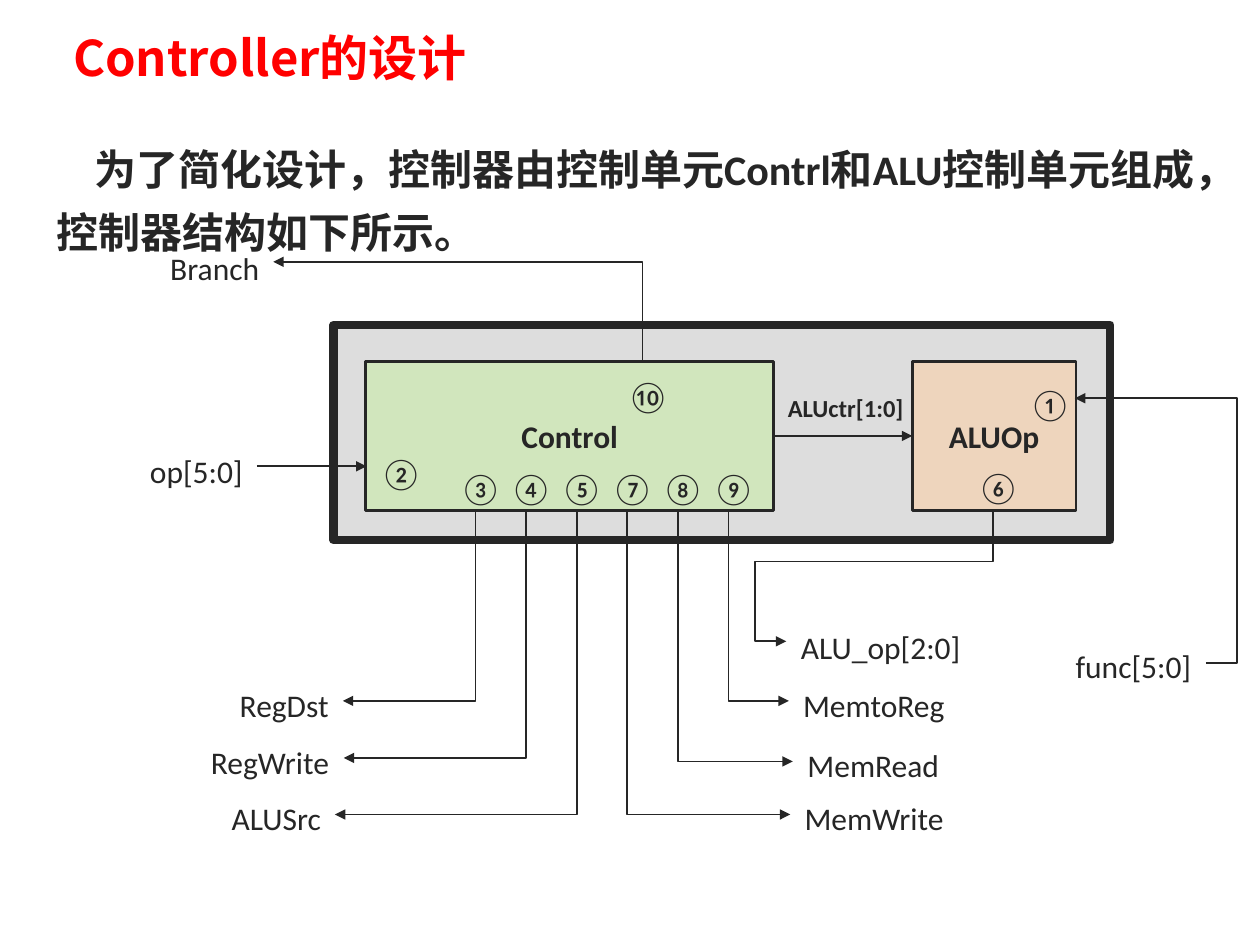
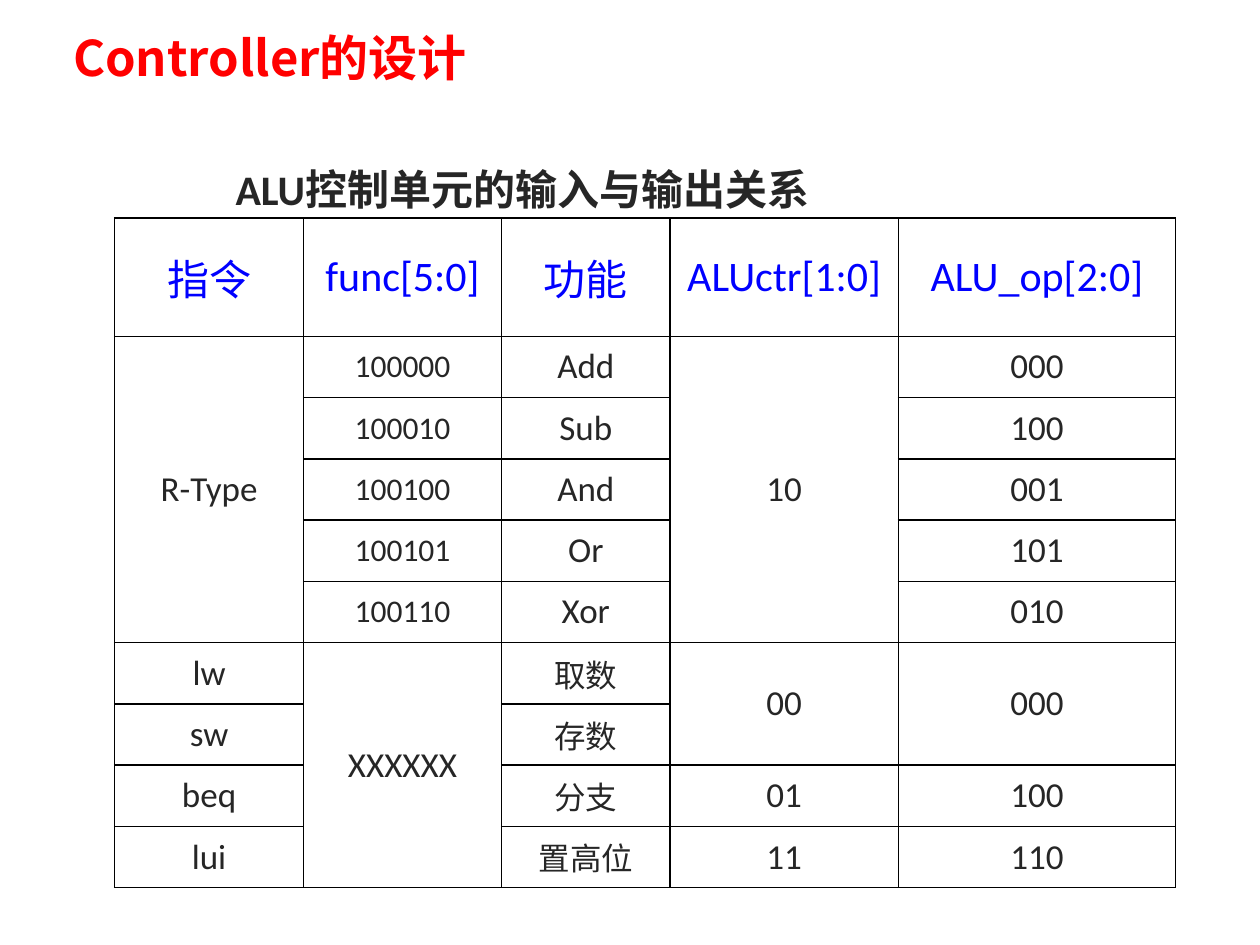
from lxml.etree import SubElement
from pptx import Presentation
from pptx.dml.color import RGBColor
from pptx.enum.shapes import MSO_CONNECTOR, MSO_SHAPE
from pptx.enum.text import MSO_ANCHOR, MSO_AUTO_SIZE, PP_ALIGN
from pptx.oxml.ns import qn
from pptx.util import Cm, Pt

INK = RGBColor(0x26, 0x26, 0x26)
RED = RGBColor(0xFF, 0x00, 0x00)
BLUE = RGBColor(0x00, 0x00, 0xFF)
GREY = RGBColor(0xBD, 0xBD, 0xBD)
GREEN = RGBColor(0xCA, 0xEE, 0xA6)
ORANGE = RGBColor(0xFB, 0xD0, 0xA5)
LATIN, CJK = "Calibri", "Noto Sans CJK JP"
TITLE = "Controller的设计"
LABEL_H, WIRE_DROP, DIGIT_W = 1.24, 0.62, 1.19

PINS = [
    ("③", "RegDst", 1.81, 8.81, 2.36),
    ("④", "RegWrite", 1.22, 9.96, 2.97),
    ("⑤", "ALUSrc", 1.65, 11.1, 2.36),
    ("⑦", "MemWrite", 13.19, 11.1, 3.38),
    ("⑧", "MemRead", 13.24, 10.03, 3.25),
    ("⑨", "MemtoReg", 13.16, 8.81, 3.43),
]
LABELS = [
    ("Branch", 0.41, 0, 2.36),
    ("ALU_op[2:0]", 13.11, 7.64, 3.81),
    ("func[5:0]", 18.65, 8.03, 2.92),
    ("op[5:0]", 0, 4.09, 2.44),
    ("①", 17.73, 2.74, DIGIT_W),
    ("⑩", 9.63, 2.59, DIGIT_W),
    ("②", 4.65, 4.14, DIGIT_W),
    ("⑥", 16.69, 4.42, DIGIT_W),
]
COLUMNS = [3.81, 3.99, 3.4, 4.6, 5.59]
ROWS = [
    ["指令", "func[5:0]", "功能", "ALUctr[1:0]", "ALU_op[2:0]"],
    ["R-Type", "100000", "Add", "10", "000"],
    [None, "100010", "Sub", None, "100"],
    [None, "100100", "And", None, "001"],
    [None, "100101", "Or", None, "101"],
    [None, "100110", "Xor", None, "010"],
    ["lw", "XXXXXX", "取数", "00", "000"],
    ["sw", None, "存数", None, None],
    ["beq", None, "分支", "01", "100"],
    ["lui", None, "置高位", "11", "110"],
]


def assign(obj, **values):
    """Set several attributes of one object."""
    for name, value in values.items():
        setattr(obj, name, value)


def write(tf, text, size, color=INK, bold=False, latin=LATIN, **para):
    """Write one formatted paragraph into a text frame."""
    p = tf.paragraphs[0]
    assign(p, **para)
    r = p.add_run()
    r.text = text
    assign(r.font, size=Pt(size), bold=bold, name=latin)
    r.font.color.rgb = color
    SubElement(r.font._element, qn("a:ea"), typeface=CJK)
    return p


def add_title(s, text):
    """Place the red slide title in its placeholder."""
    sp = s.shapes.title
    assign(sp, left=Cm(1.22), top=Cm(0.2), width=Cm(23.34), height=Cm(1.9))
    sp.text_frame.vertical_anchor = MSO_ANCHOR.MIDDLE
    write(sp.text_frame, text, 28, RED, True, CJK, alignment=PP_ALIGN.LEFT)


def add_text(s, text, x, y, w, h, size, bold=False, wrap=False, align=PP_ALIGN.CENTER):
    """Add a text box that fits its text."""
    tf = s.shapes.add_textbox(Cm(x), Cm(y), Cm(w), Cm(h)).text_frame
    assign(tf, word_wrap=wrap, auto_size=MSO_AUTO_SIZE.SHAPE_TO_FIT_TEXT,
           margin_left=Cm(0.28), margin_right=Cm(0.28))
    return write(tf, text, size, bold=bold, alignment=align, line_spacing=1.25)


def add_paragraph(s, text, x, y, w, h):
    """Add a bold paragraph with an indented first line."""
    p = add_text(s, text, x, y, w, h, 24, True, True, PP_ALIGN.LEFT)
    p._p.get_or_add_pPr().set("indent", str(Cm(0.76)))


def add_block(s, text, x, y, w, h, color, opacity, weight):
    """Add a translucent outlined rectangle with a bold name."""
    sp = s.shapes.add_shape(MSO_SHAPE.RECTANGLE, Cm(x), Cm(y), Cm(w), Cm(h))
    sp.shadow.inherit = False
    sp.fill.solid()
    sp.fill.fore_color.rgb = color
    clr = sp._element.spPr.find(".//" + qn("a:srgbClr"))
    SubElement(clr, qn("a:alpha"), val=str(opacity * 1000))
    sp.line.color.rgb = INK
    sp.line.width = Pt(weight)
    if text:
        tf = sp.text_frame
        assign(tf, margin_left=0, margin_right=0, margin_top=0, margin_bottom=0,
               vertical_anchor=MSO_ANCHOR.MIDDLE)
        write(tf, text, 18, bold=True, alignment=PP_ALIGN.CENTER)


def add_arrow(s, x1, y1, x2, y2, preset="line", adjust=()):
    """Add a connector with an arrowhead at its end."""
    kind = MSO_CONNECTOR.STRAIGHT if preset == "line" else MSO_CONNECTOR.ELBOW
    c = s.shapes.add_connector(kind, Cm(x1), Cm(y1), Cm(x2), Cm(y2))
    c.line.color.rgb = INK
    c.line.width = Pt(1)
    SubElement(c.line._get_or_add_ln(), qn("a:tailEnd"), type="triangle")
    spPr = c._element.spPr
    SubElement(spPr, qn("a:effectLst"))
    geom = spPr.find(qn("a:prstGeom"))
    geom.set("prst", preset)
    for i, value in enumerate(adjust, 1):
        SubElement(geom.find(qn("a:avLst")), qn("a:gd"), name=f"adj{i}",
                   fmla=f"val {round(value * 100000)}")
    return c


def add_vertical_elbow(s, x1, y1, x2, y2, preset="bentConnector2", adjust=()):
    """Add a turned elbow arrow that leaves its start vertically."""
    down, right = y2 > y1, x2 > x1
    cx, cy = (x1 + x2) / 2, (y1 + y2) / 2
    dx, dy = abs(y2 - y1) / 2, abs(x2 - x1) / 2
    if right:
        dx = -dx
    if not down:
        dy = -dy
    c = add_arrow(s, cx - dx, cy - dy, cx + dx, cy + dy, preset, adjust)
    angle = 90 if down and not right else 270
    c._element.spPr.find(qn("a:xfrm")).set("rot", str(angle * 60000))


def add_controller(s, x, y):
    """Draw the controller with its signals from a top left corner."""
    top, bottom = y + 2.59, y + 5.59
    add_block(s, "", x + 3.99, y + 1.85, 15.65, 4.34, GREY, 51, 5)
    add_block(s, "ALUOp", x + 15.65, top, 3.3, 3, ORANGE, 57, 1.5)
    add_block(s, "Control", x + 4.63, top, 8.23, 3, GREEN, 58, 1.5)
    for text, left, above, w in LABELS:
        add_text(s, text, x + left, y + above, w, LABEL_H, 18)
    add_text(s, "ALUctr[1:0]", x + 12.86, y + 2.95, 2.9, 0.97, 14, True)
    for i, (digit, signal, left, above, w) in enumerate(PINS):
        pin = 6.25 + 1.02 * i
        add_text(s, digit, x + pin, y + 4.44, DIGIT_W, LABEL_H, 18)
        add_text(s, signal, x + left, y + above, w, LABEL_H, 18)
        end = left + w if left < pin else left
        add_vertical_elbow(s, x + pin + DIGIT_W / 2, bottom, x + end, y + above + WIRE_DROP)
    add_vertical_elbow(s, x + 10.21, top, x + 2.77, y + 0.58)
    add_vertical_elbow(s, x + 17.28, bottom, x + 13.11, y + 8.23,
                       "bentConnector4", (0.39, 1.15))
    add_arrow(s, x + 21.57, y + 8.66, x + 18.93, y + 3.33, "bentConnector3", (-0.24,))
    add_arrow(s, x + 12.86, y + 4.09, x + 15.65, y + 4.09)
    add_arrow(s, x, y + 4.7, x + 4.65, y + 4.7).begin_x = Cm(x + 2.44)


def format_cell(cell):
    """Give a cell black borders and no fill."""
    tcPr = cell._tc.get_or_add_tcPr()
    for side in ("lnL", "lnR", "lnT", "lnB"):
        ln = SubElement(tcPr, qn(f"a:{side}"), w=str(Pt(1)))
        fill = SubElement(ln, qn("a:solidFill"))
        SubElement(fill, qn("a:srgbClr"), val="000000")
    cell.fill.background()
    cell.vertical_anchor = MSO_ANCHOR.MIDDLE


def add_relation_table(s, x, y, w, h):
    """Add the table, joining each cell with the empty ones below it."""
    head = 2.39
    tbl = s.shapes.add_table(len(ROWS), len(COLUMNS), Cm(x), Cm(y), Cm(w), Cm(h)).table
    assign(tbl, first_row=False, horz_banding=False)
    for col, width in zip(tbl.columns, COLUMNS):
        col.width = Cm(width)
    for i, row in enumerate(tbl.rows):
        row.height = Cm((h - head) / (len(ROWS) - 1) if i else head)
    for i, row in enumerate(ROWS):
        for j, text in enumerate(row):
            cell = tbl.cell(i, j)
            format_cell(cell)
            if text is None:
                continue
            small = not text.isascii() or (j == 1 and text.isdigit())
            size = 24 if i == 0 else 18 if small else 20
            write(cell.text_frame, text, size, INK if i else BLUE, alignment=PP_ALIGN.CENTER)
            last = i
            while last + 1 < len(ROWS) and ROWS[last + 1][j] is None:
                last += 1
            if last > i:
                cell.merge(tbl.cell(last, j))


def add_slide(prs):
    """Add a slide with the shared title."""
    s = prs.slides.add_slide(prs.slide_layouts[5])
    add_title(s, TITLE)
    return s


def main():
    """Build and save both slides."""
    prs = Presentation()
    assign(prs, slide_width=Cm(25.4), slide_height=Cm(19.05))
    s = add_slide(prs)
    add_controller(s, 2.74, 4.7)
    add_paragraph(s, "为了简化设计，控制器由控制单元Contrl和ALU控制单元组成，控制器结构如下所示。",
                  0.86, 2.51, 23.85, 2.84)
    s = add_slide(prs)
    add_relation_table(s, 2.31, 4.39, 21.39, 13.51)
    add_paragraph(s, "ALU控制单元的输入与输出关系", 3.71, 2.92, 16.99, 1.47)
    prs.save("out.pptx")


main()
